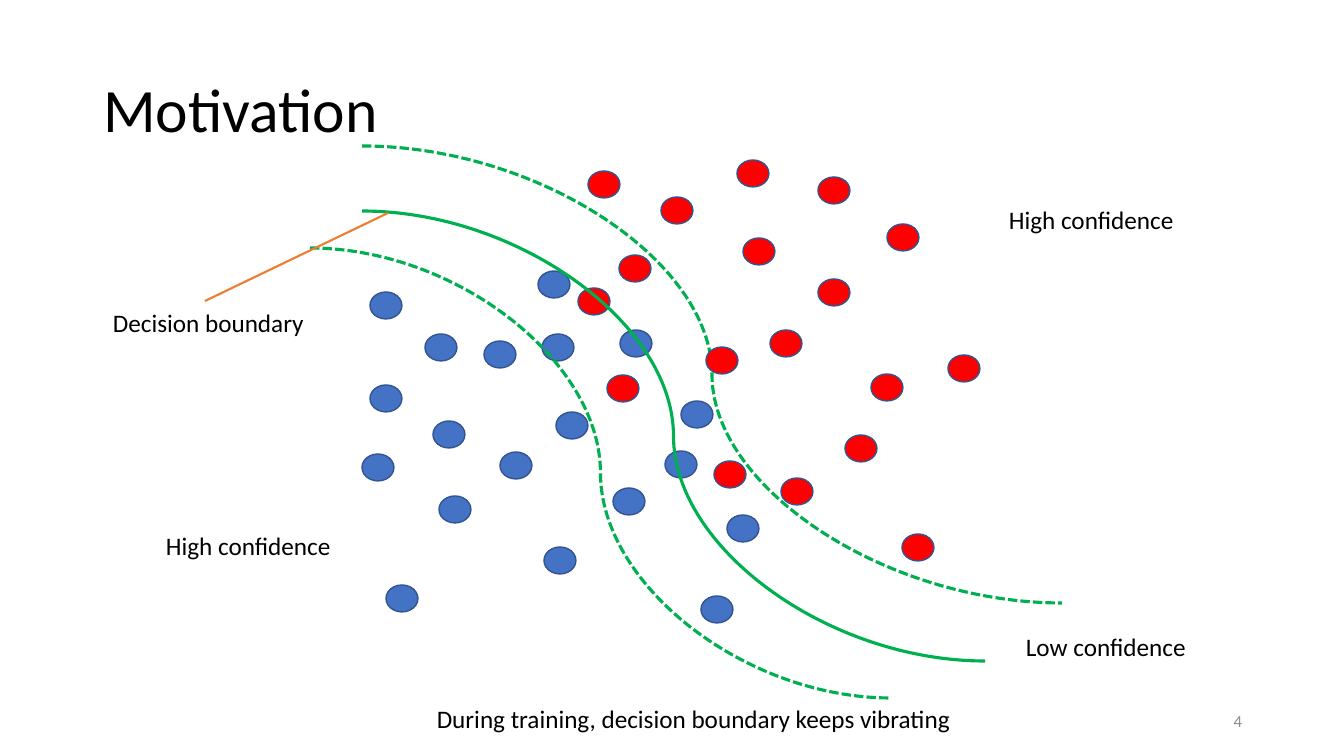
"""Build the Motivation slide: two classes, a decision boundary and its margins."""
from lxml.etree import SubElement
from pptx import Presentation
from pptx.dml.color import RGBColor
from pptx.enum.dml import MSO_LINE
from pptx.enum.shapes import MSO_CONNECTOR, MSO_SHAPE
from pptx.enum.text import MSO_ANCHOR, PP_ALIGN
from pptx.oxml.ns import qn
from pptx.util import Pt

PX = 914400 / 100.8
BLACK = RGBColor(0x00, 0x00, 0x00)
GRAY = RGBColor(0x8C, 0x8C, 0x8C)
BLUE = RGBColor(0x44, 0x72, 0xC4)
RED = RGBColor(0xFF, 0x00, 0x00)
OUTLINE = RGBColor(0x32, 0x54, 0x91)
GREEN = RGBColor(0x00, 0xB0, 0x50)
ORANGE = RGBColor(0xED, 0x7D, 0x31)
DOT_WIDTH, DOT_HEIGHT = 32, 27

BLUE_DOTS = [
    (484, 341), (500, 452), (370, 385), (556, 412), (362, 454), (425, 334),
    (433, 421), (544, 547), (370, 292), (613, 488), (542, 334), (439, 496),
    (386, 585), (701, 596),
]
RED_DOTS = [
    (902, 534), (845, 435), (948, 355), (661, 197), (743, 238), (770, 330),
    (887, 224), (818, 279), (737, 160), (871, 374), (588, 171), (818, 177),
]
BLUE_DOTS_NEAR_BOUNDARY = [(665, 451), (727, 515), (538, 271), (620, 330), (681, 401)]
RED_DOTS_NEAR_BOUNDARY = [
    (706, 347), (781, 478), (619, 255), (578, 288), (714, 461), (607, 375),
]
UPPER_MARGIN = (362, 146, 1062, 603)
BOUNDARY = (362, 211, 985, 661)
LOWER_MARGIN = (310, 248, 891, 698)
POINTER = (388, 213, 205, 301)


def scaled(*lengths):
    return [round(length * PX) for length in lengths]


def write(box, text, size=18, color=BLACK, align=PP_ALIGN.LEFT, anchor=MSO_ANCHOR.TOP, spacing=1.0):
    frame = box.text_frame
    frame.word_wrap = True
    frame.vertical_anchor = anchor
    para = frame.paragraphs[0]
    para.alignment = align
    para.line_spacing = spacing
    span = para.add_run()
    span.text = text
    span.font.name = "Calibri"
    span.font.size = Pt(size)
    span.font.color.rgb = color
    return span


deck = Presentation()
deck.slide_width, deck.slide_height = scaled(1344, 756)
page = deck.slides.add_slide(deck.slide_layouts[5])
shapes = page.shapes

title = shapes.title
title.left, title.top, title.width, title.height = scaled(93, 40, 1159, 146)
write(title, "Motivation", size=44, anchor=MSO_ANCHOR.MIDDLE, spacing=0.9)

layers = [
    ([(BLUE, BLUE_DOTS), (RED, RED_DOTS)], [(UPPER_MARGIN, True)]),
    (
        [(BLUE, BLUE_DOTS_NEAR_BOUNDARY), (RED, RED_DOTS_NEAR_BOUNDARY)],
        [(BOUNDARY, False), (LOWER_MARGIN, True)],
    ),
]
curves = []
for dot_groups, layer_curves in layers:
    for color, corners in dot_groups:
        for left, top in corners:
            dot = shapes.add_shape(MSO_SHAPE.OVAL, *scaled(left, top, DOT_WIDTH, DOT_HEIGHT))
            dot.shadow.inherit = False
            dot.fill.solid()
            dot.fill.fore_color.rgb = color
            dot.line.color.rgb = OUTLINE
            dot.line.width = Pt(1)
    for ends, dashed in layer_curves:
        curve = shapes.add_connector(MSO_CONNECTOR.CURVE, *scaled(*ends))
        curve.line.color.rgb = GREEN
        curve.line.width = Pt(2.25)
        if dashed:
            curve.line.dash_style = MSO_LINE.SQUARE_DOT
        curves.append(curve)

pointer = shapes.add_connector(MSO_CONNECTOR.STRAIGHT, *scaled(*POINTER))
pointer.line.color.rgb = ORANGE
pointer.line.width = Pt(1.5)
for connector in [*curves, pointer]:
    SubElement(connector._element.spPr, qn("a:effectLst"))

labels = [
    ("During training, decision boundary keeps vibrating", (200, 698, 987, 34), PP_ALIGN.CENTER),
    ("Low confidence", (1016, 626, 222, 40), PP_ALIGN.LEFT),
    ("High confidence", (999, 199, 200, 40), PP_ALIGN.LEFT),
    ("High confidence", (156, 525, 222, 40), PP_ALIGN.LEFT),
    ("Decision boundary", (103, 302, 222, 40), PP_ALIGN.LEFT),
]
for text, place, align in labels:
    write(shapes.add_textbox(*scaled(*place)), text, align=align)

number_box = shapes.add_textbox(*scaled(950, 701, 302, 40))
number = write(
    number_box, "4", size=12, color=GRAY, align=PP_ALIGN.RIGHT, anchor=MSO_ANCHOR.MIDDLE
)

deck.save("out.pptx")
